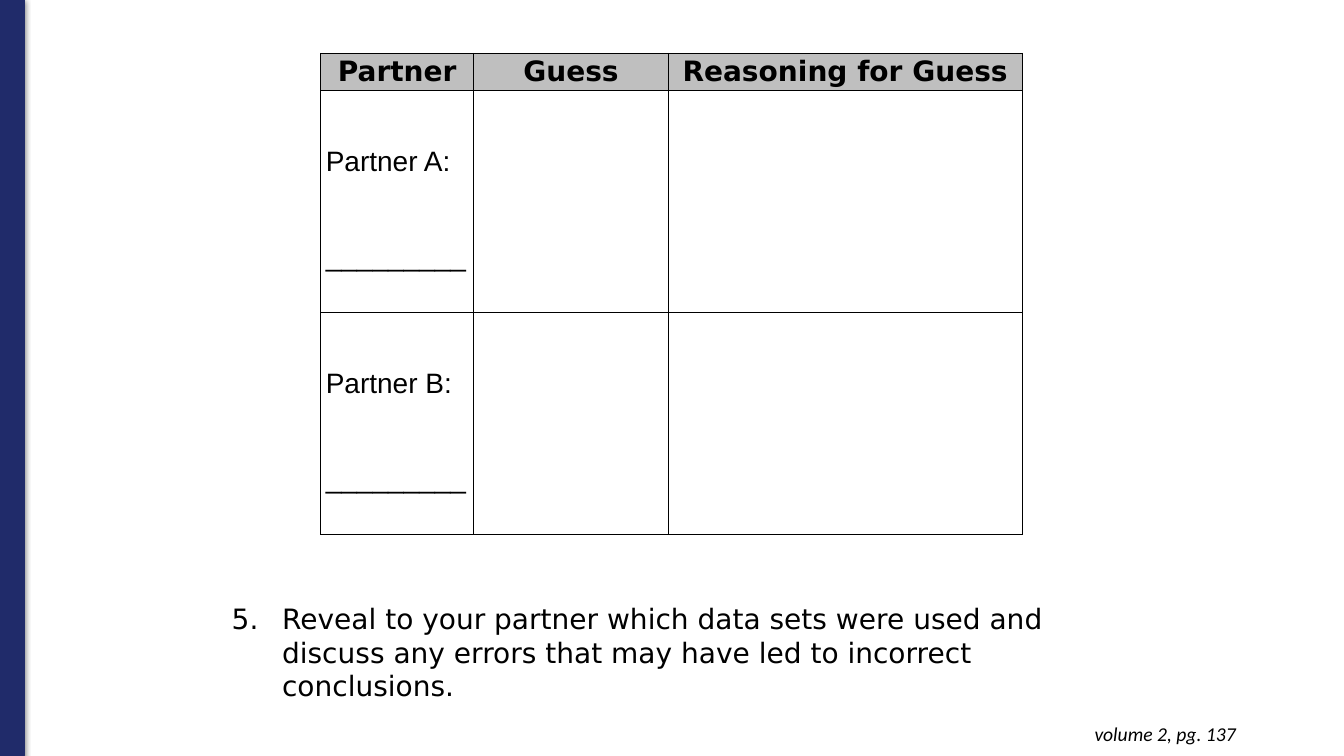
from dataclasses import dataclass
from lxml.etree import SubElement
from pptx import Presentation
from pptx.dml.color import RGBColor
from pptx.enum.shapes import MSO_SHAPE
from pptx.enum.text import MSO_ANCHOR, PP_ALIGN
from pptx.oxml.ns import qn
from pptx.util import Cm, Pt

COLORS = {"navy": "202B6A", "gray": "BFBFBF", "black": "000000"}
HEAD = {"name": "DejaVu Sans", "size": Pt(20), "bold": True}
BODY = {"name": "Arial", "size": Pt(20), "bold": False}
STEP = {"name": "DejaVu Sans", "size": Pt(20)}
NOTE = {"name": "Calibri", "size": Pt(14), "italic": True}


@dataclass
class Label:
    text: str
    left: float
    top: float
    width: float
    height: float
    inset: float
    style: dict
    align: PP_ALIGN


def tint(name: str) -> RGBColor:
    return RGBColor.from_string(COLORS[name])


def write(para, text: str, style: dict, align=PP_ALIGN.LEFT) -> None:
    para.alignment = align
    run = para.add_run()
    run.text = text
    for key, value in style.items():
        setattr(run.font, key, value)
    run.font.color.rgb = tint("black")


def add_solid(parent, name: str):
    fill = SubElement(parent, qn("a:solidFill"))
    return SubElement(fill, qn("a:srgbClr"), val=COLORS[name])


def add_label(slide, label: Label):
    box = slide.shapes.add_textbox(
        Cm(label.left), Cm(label.top), Cm(label.width), Cm(label.height))
    frame = box.text_frame
    frame.word_wrap = True
    frame.margin_top = frame.margin_bottom = Cm(label.inset)
    para = frame.paragraphs[0]
    write(para, label.text, label.style, label.align)
    return para


def add_number(para, start: int) -> None:
    props = para._p.get_or_add_pPr()
    props.set("marL", str(Cm(1.27)))
    props.set("indent", str(-Cm(1.27)))
    color = SubElement(props, qn("a:buClr"))
    SubElement(color, qn("a:srgbClr"), val=COLORS["black"])
    SubElement(props, qn("a:buAutoNum"), type="arabicPeriod", startAt=str(start))


def add_bar(slide) -> None:
    bar = slide.shapes.add_shape(MSO_SHAPE.RECTANGLE, 0, Cm(-0.03), Cm(0.61), Cm(19.08))
    bar.fill.solid()
    bar.fill.fore_color.rgb = tint("navy")
    bar.line.color.rgb = tint("navy")
    bar.line.width = Pt(0.75)
    bar.shadow.inherit = False
    effects = bar._element.spPr.find(qn("a:effectLst"))
    shade = SubElement(effects, qn("a:outerShdw"), blurRad=str(Pt(4.5)),
                       dist=str(Pt(1.5)), dir="5400000", rotWithShape="0")
    color = SubElement(shade, qn("a:srgbClr"), val=COLORS["black"])
    SubElement(color, qn("a:alpha"), val="50000")


def dress(cell) -> None:
    cell.vertical_anchor = MSO_ANCHOR.MIDDLE
    cell.margin_left = cell.margin_right = Cm(0.13)
    cell.margin_top = cell.margin_bottom = 0
    props = cell._tc.get_or_add_tcPr()
    for side in "LRTB":
        add_solid(SubElement(props, qn(f"a:ln{side}"), w=str(Pt(1))), "black")
    cell.fill.background()


def add_grid(slide) -> None:
    widths, heights = (3.86, 4.9, 8.92), (0.94, 5.59, 5.59)
    table = slide.shapes.add_table(
        3, 3, Cm(8.08), Cm(1.35), Cm(sum(widths)), Cm(sum(heights))).table
    table.first_row = table.horz_banding = False
    for column, width in zip(table.columns, widths):
        column.width = Cm(width)
    for row, height in zip(table.rows, heights):
        row.height = Cm(height)
    for cell in table.iter_cells():
        dress(cell)

    # Header row
    for col, title in enumerate(("Partner", "Guess", "Reasoning for Guess")):
        cell = table.cell(0, col)
        cell.fill.solid()
        cell.fill.fore_color.rgb = tint("gray")
        write(cell.text_frame.paragraphs[0], title, HEAD, PP_ALIGN.CENTER)

    # Partner names, each with a line to sign
    for row, name in enumerate(("Partner A:", "Partner B:"), 1):
        frame = table.cell(row, 0).text_frame
        first, blank = frame.paragraphs[0], frame.add_paragraph()
        for para, text in ((first, name), (blank, "_________")):
            write(para, text, BODY)
            para.line_spacing = 1.5
        blank.space_before = Pt(34.5)


def main() -> None:
    deck = Presentation()
    deck.slide_width, deck.slide_height = Cm(33.87), Cm(19.05)
    slide = deck.slides.add_slide(deck.slide_layouts[6])

    # Side bar and table
    add_bar(slide)
    add_grid(slide)

    # Numbered step and page note
    step = add_label(slide, Label(
        "Reveal to your partner which data sets were used and discuss any errors "
        "that may have led to incorrect conclusions.",
        5.59, 15.03, 23.14, 2.72, 0.13, STEP, PP_ALIGN.LEFT))
    add_number(step, 5)
    add_label(slide, Label(
        "volume 2, pg. 137", 24.08, 17.93, 7.32, 1.12, 0.25, NOTE, PP_ALIGN.RIGHT))

    deck.save("out.pptx")


if __name__ == "__main__":
    main()
